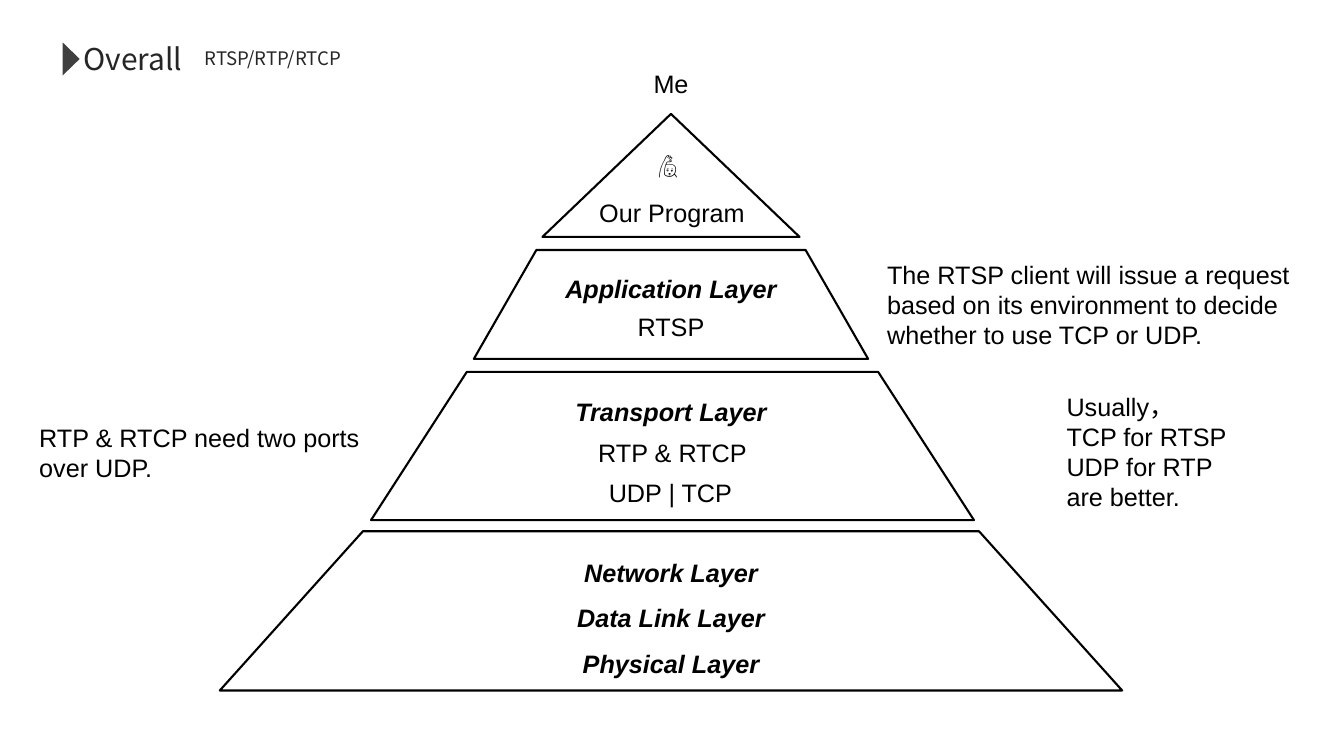
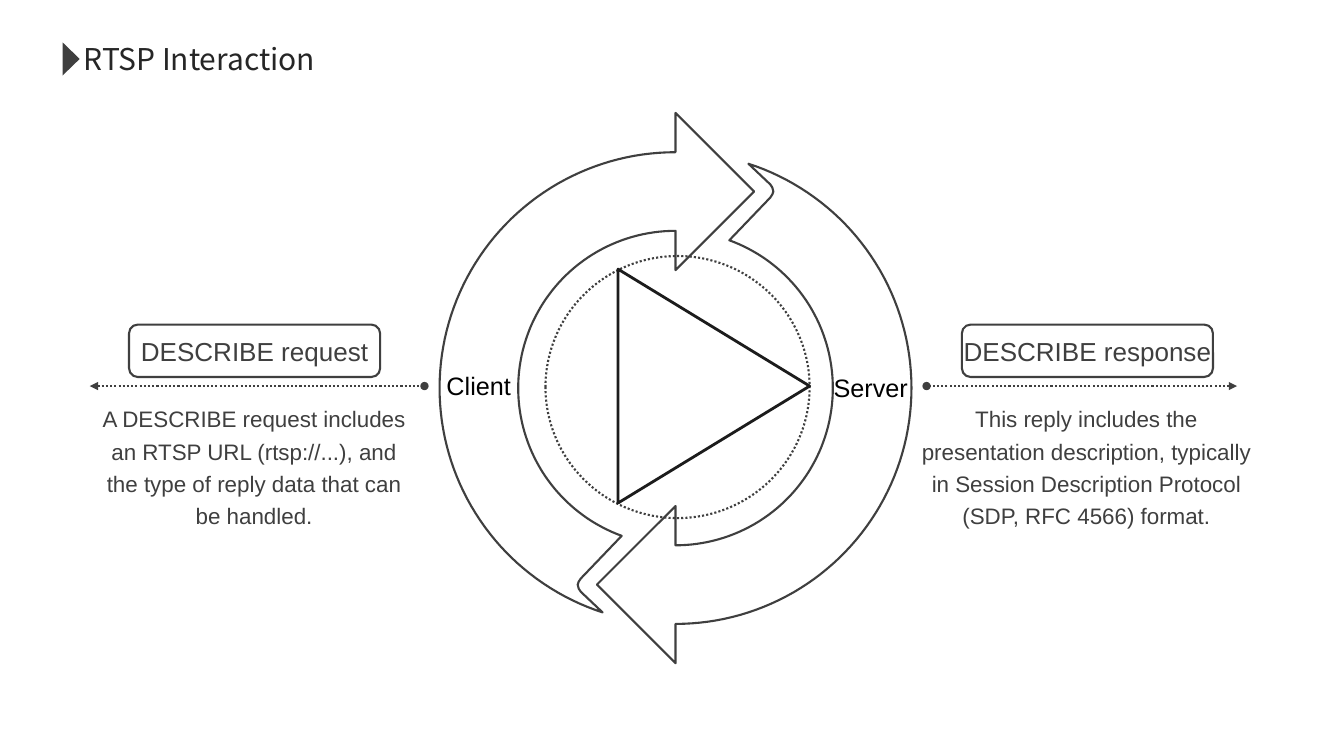
from dataclasses import dataclass
from math import cos, radians, sin
from typing import Optional

from lxml.etree import SubElement
from pptx import Presentation
from pptx.dml.color import RGBColor
from pptx.dml.line import LineFormat
from pptx.enum.dml import MSO_LINE
from pptx.enum.shapes import MSO_CONNECTOR, MSO_SHAPE as Shape
from pptx.enum.text import MSO_ANCHOR, MSO_AUTO_SIZE, PP_ALIGN as Align
from pptx.oxml.ns import qn
from pptx.shapes.autoshape import Shape as AutoShape
from pptx.slide import Slide
from pptx.text.text import TextFrame
from pptx.util import Emu, Pt

PX = 9144
BLACK = RGBColor(0x00, 0x00, 0x00)
WHITE = RGBColor(0xFF, 0xFF, 0xFF)
INK = RGBColor(0x1C, 0x1C, 0x1C)
TITLE = RGBColor(0x26, 0x26, 0x26)
GRAY = RGBColor(0x3F, 0x3F, 0x3F)
BODY_FONT = "Arial"
TITLE_FONT = "Noto Sans CJK SC"
RING_X, RING_Y = 670, 385
RING_OUTER, RING_INNER = 234, 156

Box = tuple[int, int, int, int]
Point = tuple[float, float]


@dataclass(frozen=True)
class Label:
    box: Box
    lines: tuple[str, ...]
    size: float = 18
    color: RGBColor = BLACK
    font: str = BODY_FONT
    align: Optional[Align] = None
    spacing: Optional[float] = None
    strong: int = 0
    wrap: bool = True


@dataclass(frozen=True)
class Tier:
    box: Box
    inset: int


@dataclass(frozen=True)
class Message:
    pill: Box
    name: str
    arrow_x: int
    dot_x: int
    note: Box
    text: str


TIERS = (
    Tier((470, 248, 391, 108), 62),
    Tier((368, 369, 598, 147), 95),
    Tier((218, 527, 895, 158), 142),
)

PYRAMID_LABELS = (
    Label((493, 533, 345, 146), ("Network Layer", "Data Link Layer", "Physical Layer"),
          align=Align.CENTER, spacing=1.5, strong=3),
    Label((493, 381, 345, 48), ("Transport Layer",), align=Align.CENTER, spacing=1.25, strong=1),
    Label((493, 259, 345, 86), ("Application Layer", "RTSP"),
          align=Align.CENTER, spacing=1.25, strong=1),
    Label((494, 183, 345, 48), ("Our Program",), align=Align.CENTER, spacing=1.25),
    Label((567, 429, 200, 40), ("RTP & RTCP",), align=Align.CENTER),
    Label((558, 469, 214, 40), ("UDP | TCP",), align=Align.CENTER),
    Label((870, 252, 441, 101), (
        "The RTSP client will issue a request based on its environment "
        "to decide whether to use TCP or UDP.",)),
    Label((1048, 383, 184, 131), ("Usually，", "TCP for RTSP", "UDP for RTP", "are better.")),
    Label((29, 414, 365, 71), ("RTP & RTCP need two ports over UDP.",)),
    Label((631, 63, 69, 40), ("Me",), align=Align.CENTER),
    Label((643, 143, 45, 40), ("🙋",), wrap=False),
)

MESSAGES = (
    Message((954, 322, 249, 52), "DESCRIBE response", 1227, 919, (902, 392, 351, 139),
            "This reply includes the presentation description, typically in "
            "Session Description Protocol (SDP, RFC 4566) format."),
    Message((128, 322, 249, 52), "DESCRIBE request", 89, 421, (90, 392, 324, 139),
            "A DESCRIBE request includes an RTSP URL (rtsp://...), and "
            "the type of reply data that can be handled."),
)

ROLES = (
    Label((433, 362, 92, 40), ("Client",)),
    Label((817, 364, 102, 40), ("Server",)),
)


def emu(*lengths: float) -> list[Emu]:
    return [Emu(round(n * PX)) for n in lengths]


def set_line(line: LineFormat, color: RGBColor, width: float = 1.5, dotted: bool = False) -> None:
    line.color.rgb = color
    line.width = Pt(width)
    if dotted:
        line.dash_style = MSO_LINE.ROUND_DOT


def paint(sp: AutoShape, fill: Optional[RGBColor], line: Optional[RGBColor],
          width: float = 1.5, dotted: bool = False) -> None:
    sp.shadow.inherit = False
    if fill is None:
        sp.fill.background()
    else:
        sp.fill.solid()
        sp.fill.fore_color.rgb = fill
    if line is None:
        sp.line.fill.background()
    else:
        set_line(sp.line, line, width, dotted)


def add_preset(s: Slide, kind: Shape, box: Box, fill: Optional[RGBColor] = None,
               line: Optional[RGBColor] = None, width: float = 1.5,
               dotted: bool = False, turn: int = 0) -> AutoShape:
    sp = s.shapes.add_shape(kind, *emu(*box))
    sp.rotation = turn
    paint(sp, fill, line, width, dotted)
    return sp


def add_outline(s: Slide, points: list[Point], color: RGBColor) -> None:
    start, *rest = [emu(*point) for point in points]
    builder = s.shapes.build_freeform(*start, scale=1.0)
    builder.add_line_segments(rest, close=True)
    paint(builder.convert_to_shape(), None, color)


def write(tf: TextFrame, label: Label) -> None:
    tf.word_wrap = label.wrap
    for i, line in enumerate(label.lines):
        p = tf.paragraphs[0] if i == 0 else tf.add_paragraph()
        p.alignment = label.align
        p.line_spacing = label.spacing
        r = p.add_run()
        r.text = line
        strong = i < label.strong
        formats = {"name": label.font, "size": Pt(label.size), "bold": strong, "italic": strong}
        for name, value in formats.items():
            setattr(r.font, name, value)
        r.font.color.rgb = label.color


def add_label(s: Slide, label: Label) -> None:
    tf = s.shapes.add_textbox(*emu(*label.box)).text_frame
    write(tf, label)
    tf.auto_size = MSO_AUTO_SIZE.SHAPE_TO_FIT_TEXT


def add_title(s: Slide, text: str, width: int) -> None:
    add_label(s, Label((73, 35, width, 46), (text,), 21.4, TITLE, TITLE_FONT, wrap=False))
    add_preset(s, Shape.ISOSCELES_TRIANGLE, (54, 50, 33, 17), fill=GRAY, turn=90)


def add_tier(s: Slide, tier: Tier) -> None:
    x, y, w, h = tier.box
    corners = [(x, y + h), (x + tier.inset, y), (x + w - tier.inset, y), (x + w, y + h)]
    add_outline(s, corners, BLACK)


def arc(radius: int, first: int, last: int, step: int) -> list[Point]:
    angles = [radians(a) for a in range(first, last + step, step)]
    return [(-radius * sin(a), -radius * cos(a)) for a in angles]


def add_ring_arrow(s: Slide, side: int) -> None:
    notch = [(-94, 202), (-96, 199), (-97, 195), (-96, 192), (-94, 189)]
    head = [(0, -117), (78, -195), (0, -273)]
    offsets = arc(RING_OUTER, 0, 162, 2) + notch + arc(RING_INNER, 160, 0, -2) + head
    add_outline(s, [(RING_X + side * x, RING_Y + side * y) for x, y in offsets], GRAY)


def add_message(s: Slide, message: Message) -> None:
    pill = add_preset(s, Shape.ROUNDED_RECTANGLE, message.pill, line=GRAY)
    pill.text_frame.vertical_anchor = MSO_ANCHOR.MIDDLE
    write(pill.text_frame, Label(message.pill, (message.name,), 18.6, GRAY,
                                 align=Align.CENTER, wrap=False))
    cxn = s.shapes.add_connector(MSO_CONNECTOR.STRAIGHT,
                                 *emu(message.arrow_x, 383, message.dot_x, 383))
    set_line(cxn.line, GRAY, dotted=True)
    ln = cxn.get_or_add_ln()
    for tag, kind in {"a:headEnd": "triangle", "a:tailEnd": "oval"}.items():
        SubElement(ln, qn(tag), type=kind)
    SubElement(cxn._element.spPr, qn("a:effectLst"))
    add_label(s, Label(message.note, (message.text,), 16, GRAY,
                       align=Align.CENTER, spacing=1.2))


def draw_overall(s: Slide) -> None:
    add_preset(s, Shape.ISOSCELES_TRIANGLE, (538, 113, 255, 122), line=BLACK)
    for tier in TIERS:
        add_tier(s, tier)
    add_title(s, "Overall", 120)
    add_label(s, Label((193, 42, 162, 33), ("RTSP/RTP/RTCP",), 13.3, TITLE, TITLE_FONT, wrap=False))
    for label in PYRAMID_LABELS:
        add_label(s, label)


def draw_interaction(s: Slide) -> None:
    add_preset(s, Shape.OVAL, (541, 254, 262, 260), line=GRAY, dotted=True)
    for side in (1, -1):
        add_ring_arrow(s, side)
    for message in MESSAGES:
        add_message(s, message)
    add_title(s, "RTSP Interaction", 254)
    for role in ROLES:
        add_label(s, role)
    add_preset(s, Shape.ISOSCELES_TRIANGLE, (592, 288, 232, 190), WHITE, INK, 2, turn=90)


def main() -> None:
    prs = Presentation()
    prs.slide_width, prs.slide_height = emu(1333, 750)
    for draw in (draw_overall, draw_interaction):
        draw(prs.slides.add_slide(prs.slide_layouts[6]))
    prs.save("out.pptx")


if __name__ == "__main__":
    main()
